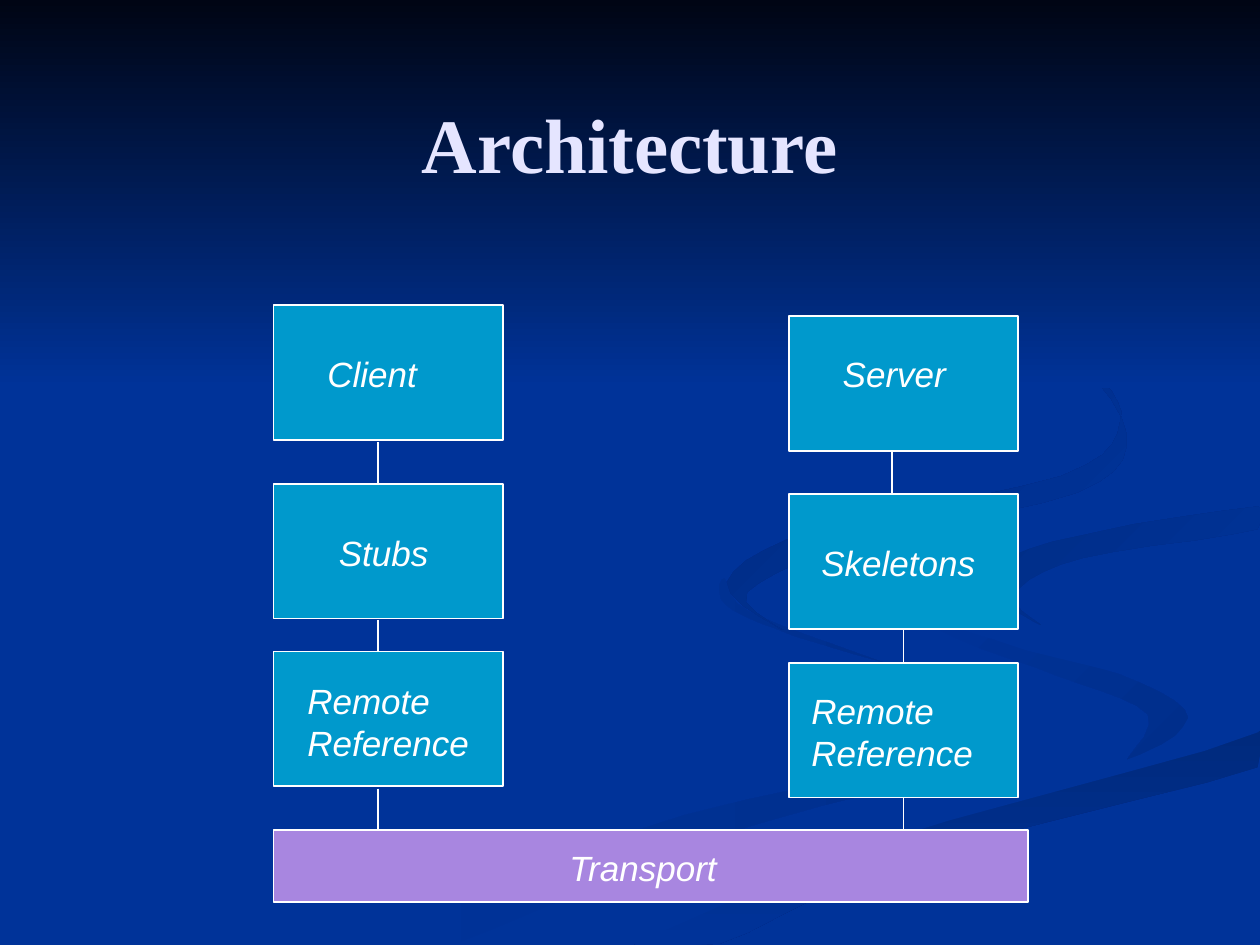
from pptx import Presentation, util as u
from pptx.dml.color import RGBColor
from pptx.enum import shapes as sh, text as tx
from pptx.oxml.ns import qn
from lxml import etree

NAVY = RGBColor.from_string("003399")
NIGHT = RGBColor.from_string("000514")
DEEP = RGBColor.from_string("002E8B")
DUSK = RGBColor.from_string("002A7D")
SHADE = RGBColor.from_string("002D86")
INK = RGBColor.from_string("002B82")
CYAN = RGBColor.from_string("0099CC")
LILAC = RGBColor.from_string("A886E0")
PALE = RGBColor.from_string("E5E5FF")
WHITE = RGBColor.from_string("FFFFFF")

WAVES = [
    (NAVY, DEEP, 0, [
        (781, 553), (682, 519), (594, 485), (575, 459), (576, 480),
        (631, 505), (741, 539), (785, 566), (714, 605), (499, 661),
        (300, 749), (361, 749), (564, 665), (769, 609), (800, 581)]),
    (NAVY, DEEP, 45, [
        (943, 570), (888, 535), (758, 498), (724, 464), (746, 500),
        (838, 536), (911, 567), (894, 605)]),
    (DUSK, NAVY, 90, [
        (503, 749), (571, 749), (722, 682), (998, 609), (998, 581),
        (764, 647), (599, 706)]),
    (NAVY, NAVY, 0, [
        (725, 464), (793, 509), (905, 540), (943, 570), (881, 608),
        (663, 668), (477, 749), (503, 749), (696, 669), (999, 581),
        (999, 538), (817, 492), (781, 463), (850, 427), (999, 402),
        (999, 387), (788, 422)]),
    (SHADE, NAVY, 45, [
        (781, 460), (826, 496), (805, 472), (859, 443), (998, 420),
        (998, 402), (835, 430)]),
    (INK, NAVY, 45, [
        (683, 430), (855, 391), (894, 344), (843, 275), (762, 233),
        (862, 292), (889, 335), (842, 378), (649, 420), (577, 462),
        (622, 500), (593, 470)]),
]
STEPS = 5

WIDE, HIGH = 1.82, 1.07
REMOTE = "Remote Reference"
STACKS = [
    (2.17, [
        (2.42, "Client", 2.5, 2.75, 1.08),
        (3.84, "Stubs", 2.59, 4.17, 0.91),
        (5.17, REMOTE, 2.34, 5.34, 1.58)],
     [(3, 3.51, 3.83), (3, 4.92, 5.17), (3, 6.26, 6.58)]),
    (6.26, [
        (2.51, "Server", 6.59, 2.75, 1.16),
        (3.92, "Skeletons", 6.42, 4.25, 1.5),
        (5.26, REMOTE, 6.34, 5.42, 1.58)],
     [(7.08, 3.59, 3.91), (7.17, 5.01, 5.24), (7.17, 6.34, 6.58)]),
]
BASE = (2.17, 6.59, 5.99, 0.57)
BASE_TEXT = ("Transport", 4.42, 6.67, 1.58)


def inch(*nums):
    return [u.Inches(n) for n in nums]


def blend(a, b, c, d, t):
    return b + t / 2 * (c - a + t * (2 * a - 5 * b + 4 * c - d
                                     + t * (3 * (b - c) + d - a)))


def curve(dots):
    out = []
    for i in range(len(dots)):
        near = [dots[(i + k) % len(dots)] for k in (-1, 0, 1, 2)]
        for n in range(STEPS):
            x, y = [blend(*axis, n / STEPS) for axis in zip(*near)]
            out.append((min(x, 1000), min(y, 750)))
    return out


def fade(form, first, last, turn):
    form.shadow.inherit = False
    form.line.fill.background()
    if first == last:
        form.fill.solid()
        form.fill.fore_color.rgb = first
        return
    form.fill.gradient()
    form.fill.gradient_angle = (360 - turn) % 360
    for stop, tint in zip(form.fill.gradient_stops, (first, last)):
        stop.color.rgb = tint


def wave(slide, first, last, turn, dots):
    points = curve(dots)
    pen = slide.shapes.build_freeform(*points[0], scale=u.Inches(0.01))
    pen.add_line_segments(points[1:], close=True)
    fade(pen.convert_to_shape(), first, last, turn)


def write(frame, words, face, size, tint):
    run = frame.paragraphs[0].add_run()
    run.text = words
    run.font.name = face
    run.font.size = u.Pt(size)
    run.font.color.rgb = tint
    return run


def rect(slide, *area):
    return slide.shapes.add_shape(sh.MSO_SHAPE.RECTANGLE, *inch(*area))


def block(slide, area, tint):
    box = rect(slide, *area)
    fade(box, tint, tint, 0)
    box.line.color.rgb = WHITE
    box.line.width = u.Pt(1)
    return box


def label(slide, words, left, top, wide):
    high = 0.76 if words == REMOTE else 0.43
    box = slide.shapes.add_textbox(*inch(left, top, wide, high))
    box.text_frame.word_wrap = True
    write(box.text_frame, words, "Arial", 20, WHITE).font.italic = True


def link(slide, x, top, end):
    line = slide.shapes.add_connector(
        sh.MSO_CONNECTOR.STRAIGHT, *inch(x, top, x, end))
    line.line.color.rgb = WHITE
    line.line.width = u.Pt(1)
    etree.SubElement(line._element.spPr, qn("a:effectLst"))
    return line


def main():
    deck = Presentation()
    deck.slide_width, deck.slide_height = inch(10, 7.5)
    slide = deck.slides.add_slide(deck.slide_layouts[5])
    slide.background.fill.solid()
    slide.background.fill.fore_color.rgb = NAVY

    for item in WAVES:
        wave(slide, *item)
    fade(rect(slide, 0, 0, 10, 3.08), NIGHT, NAVY, 90)

    title = slide.shapes.title
    slide.shapes._spTree.append(title._element)
    title.left, title.top, title.width, title.height = inch(0.5, 0.3, 9, 1.25)
    title.text_frame.vertical_anchor = tx.MSO_ANCHOR.BOTTOM
    title.text_frame.paragraphs[0].alignment = tx.PP_ALIGN.CENTER
    write(title.text_frame, "Architecture", "Times New Roman", 44,
          PALE).font.bold = True

    block(slide, BASE, LILAC)
    label(slide, *BASE_TEXT)
    for left, parts, lines in STACKS:
        boxes = []
        for top, *note in parts:
            boxes.append(block(slide, (left, top, WIDE, HIGH), CYAN))
            label(slide, *note)
        for row, (x, top, end) in enumerate(lines):
            line = link(slide, x, top, end)
            if abs(x - left - WIDE / 2) < 0.01:
                line.begin_connect(boxes[row], 2)
                if row + 1 < len(boxes):
                    line.end_connect(boxes[row + 1], 0)

    deck.save("out.pptx")


if __name__ == "__main__":
    main()
